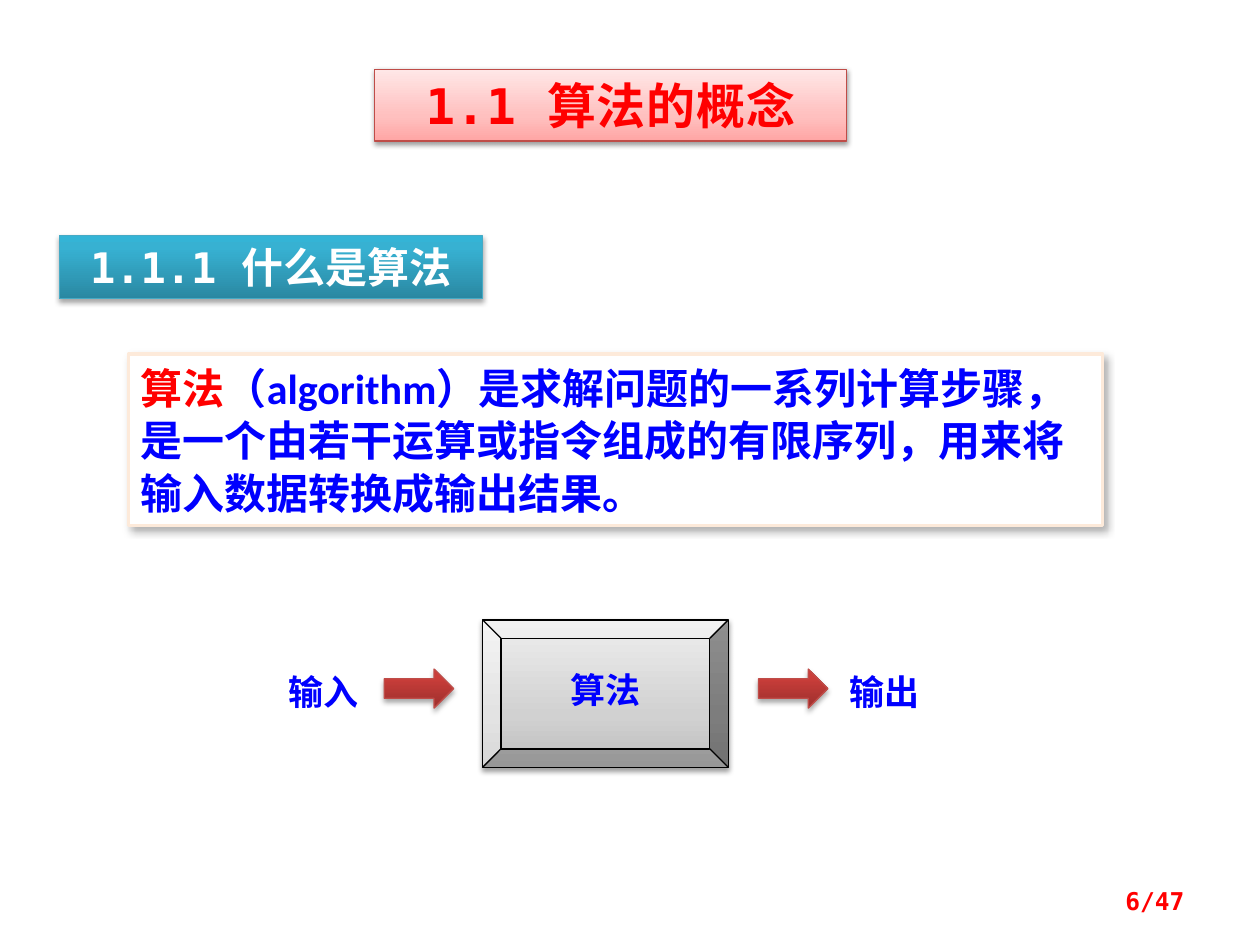
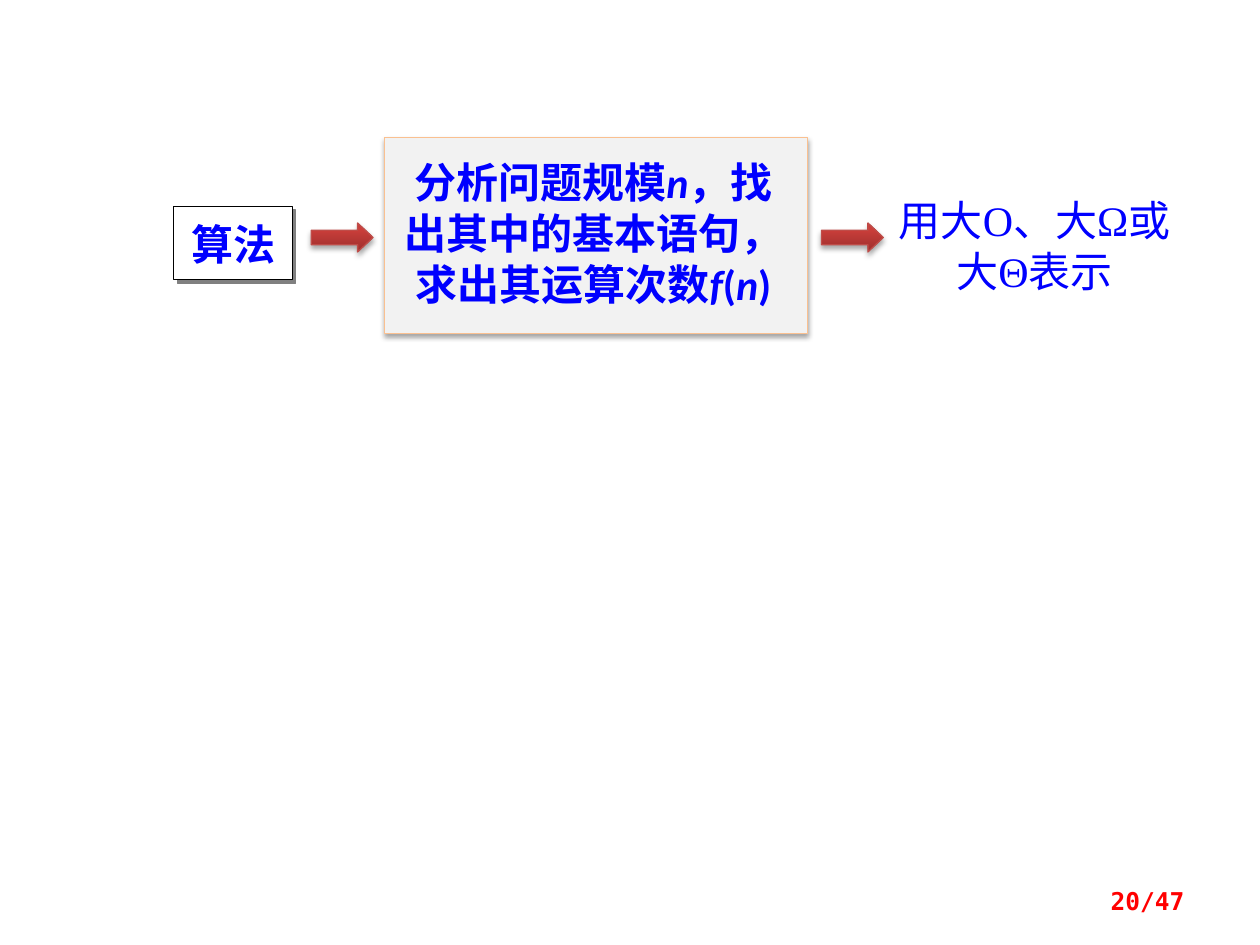
from dataclasses import dataclass
import copy
from typing import NamedTuple, Optional

import lxml.etree
import pptx
import pptx.dml.color
import pptx.enum.shapes
import pptx.enum.text
import pptx.oxml.ns
import pptx.util

Inches = pptx.util.Inches
Pt = pptx.util.Pt
qn = pptx.oxml.ns.qn
PRESET = pptx.enum.shapes.MSO_SHAPE
ALIGN = pptx.enum.text.PP_ALIGN
ANCHOR = pptx.enum.text.MSO_ANCHOR

BLUE, RED, WHITE, BLACK = "0000FF", "FF0000", "FFFFFF", "000000"
CJK, MONO, SANS, SERIF = "Noto Sans CJK SC", "DejaVu Sans Mono", "Calibri", "Times New Roman"
PAGE_TOTAL = 47


class Shadow(NamedTuple):
    color: str
    alpha: int
    blur: float
    distance: float
    angle: int


class Stop(NamedTuple):
    position: float
    color: str


class Run(NamedTuple):
    text: str
    color: Optional[str] = None
    italic: bool = False


@dataclass(frozen=True)
class Look:
    fill: str | tuple[Stop, ...]
    line: Optional[str] = None
    width: float = 0.75
    shadow: Optional[Shadow] = None


@dataclass(frozen=True)
class Style:
    size: int
    font: str = CJK
    color: str = BLUE
    bold: bool = True
    align: ALIGN = ALIGN.CENTER
    anchor: ANCHOR = ANCHOR.MIDDLE
    spacing: Optional[float | pptx.util.Pt] = None
    tracking: int = 0
    insets: tuple[float, float, float, float] = (0.1, 0.05, 0.1, 0.05)


@dataclass(frozen=True)
class Box:
    left: float
    top: float
    width: float
    height: float
    runs: tuple[Run, ...] = ()
    style: Optional[Style] = None
    look: Optional[Look] = None
    preset: PRESET = PRESET.RECTANGLE
    adjustments: tuple[float, ...] = ()


STRONG = Shadow(BLACK, 35, 3.1, 1.8, 90)
SOFT = Shadow(BLACK, 38, 3.1, 1.6, 90)

TITLE_LOOK = Look((Stop(0, "FFA6A5"), Stop(0.35, "FFC0BF"), Stop(1, "FFE7E7")), "BF4C48", shadow=SOFT)
SECTION_LOOK = Look((Stop(0, "2A88A2"), Stop(0.8, "37B1D2"), Stop(1, "34B4D6")), "46AAC5", shadow=STRONG)
ARROW_LOOK = Look((Stop(0, "9C2F2D"), Stop(0.8, "CB3E3A"), Stop(1, "CE3B37")), "BF4C48", shadow=STRONG)
BEVEL_LOOK = Look((Stop(0, "BDBDBD"), Stop(0.35, "D1D1D1"), Stop(1, "EEEEEE")), BLACK, shadow=SOFT)
DEFINITION_LOOK = Look(WHITE, "FDEADA", 2, Shadow(BLACK, 30, 4.5, 2.6, 53))
INPUT_LOOK = Look(WHITE, BLACK, shadow=Shadow("808080", 100, 0, 2.8, 45))
ANALYSIS_LOOK = Look("F2F2F2", "FAC090", shadow=STRONG)

TITLE = Style(28, MONO, RED, tracking=50)
SECTION = Style(24, MONO, WHITE)
DEFINITION = Style(24, SANS, align=ALIGN.LEFT, anchor=ANCHOR.TOP, spacing=Pt(30))
LABEL = Style(20, align=ALIGN.LEFT)
BEVEL = Style(20, spacing=0.8)
INPUT = Style(24, SERIF, insets=(0.12, 0.08, 0.12, 0.08))
ANALYSIS = Style(24, SANS, anchor=ANCHOR.TOP, spacing=Pt(29), insets=(0.12, 0.15, 0.16, 0.16))
RESULT = Style(24, SERIF, bold=False, anchor=ANCHOR.TOP, spacing=Pt(29), insets=(0, 0.06, 0, 0))
PAGE = Style(14, MONO, RED, align=ALIGN.RIGHT)


def rgb(color: str) -> pptx.dml.color.RGBColor:
    return pptx.dml.color.RGBColor.from_string(color)


def add_shadow(sp, shadow: Shadow) -> None:
    effects = sp._element.spPr.find(qn("a:effectLst"))
    outer = lxml.etree.SubElement(
        effects, qn("a:outerShdw"), blurRad=str(int(Pt(shadow.blur))), dist=str(int(Pt(shadow.distance))),
        dir=str(shadow.angle * 60000), algn="ctr", rotWithShape="0")
    color = lxml.etree.SubElement(outer, qn("a:srgbClr"), val=shadow.color)
    lxml.etree.SubElement(color, qn("a:alpha"), val=str(shadow.alpha * 1000))


def apply_look(sp, look: Look) -> None:
    sp.shadow.inherit = False
    if isinstance(look.fill, str):
        sp.fill.solid()
        sp.fill.fore_color.rgb = rgb(look.fill)
    else:
        sp.fill.gradient()
        sp.fill.gradient_angle = 90
        stops = sp._element.spPr.find(".//" + qn("a:gsLst"))
        stops.append(copy.deepcopy(stops[-1]))
        for target, stop in zip(sp.fill.gradient_stops, look.fill):
            target.position = stop.position
            target.color.rgb = rgb(stop.color)
    if look.line:
        sp.line.color.rgb = rgb(look.line)
        sp.line.width = Pt(look.width)
    else:
        sp.line.fill.background()
    if look.shadow:
        add_shadow(sp, look.shadow)


def write_text(sp, runs: tuple[Run, ...], style: Style) -> None:
    tf = sp.text_frame
    tf.word_wrap = True
    tf.vertical_anchor = style.anchor
    tf.margin_left, tf.margin_top, tf.margin_right, tf.margin_bottom = map(Inches, style.insets)
    p = tf.paragraphs[0]
    p.alignment = style.align
    if style.spacing:
        p.line_spacing = style.spacing
    p.font.name = style.font
    p.font.size = Pt(style.size)
    p.font.bold = style.bold
    p.font.color.rgb = rgb(style.color)
    defaults = p._p.pPr.find(qn("a:defRPr"))
    lxml.etree.SubElement(defaults, qn("a:ea"), typeface=CJK)
    if style.tracking:
        defaults.set("spc", str(style.tracking))
    for run in runs:
        r = p.add_run()
        r.text = run.text
        if run.color:
            r.font.color.rgb = rgb(run.color)
        if run.italic:
            r.font.italic = True


def draw(s, box: Box) -> None:
    bounds = [Inches(v) for v in (box.left, box.top, box.width, box.height)]
    if box.look:
        sp = s.shapes.add_shape(box.preset, *bounds)
        for i, value in enumerate(box.adjustments):
            sp.adjustments[i] = value
        apply_look(sp, box.look)
    else:
        sp = s.shapes.add_textbox(*bounds)
    if box.style:
        write_text(sp, box.runs, box.style)


def arrow(left: float, top: float, width: float, height: float, head: float = 0.5) -> Box:
    return Box(left, top, width, height, look=ARROW_LOOK, preset=PRESET.RIGHT_ARROW, adjustments=(0.5, head))


def add_slide(prs, page: int, boxes: list[Box]) -> None:
    s = prs.slides.add_slide(prs.slide_layouts[6])
    footer = Box(7.17, 6.95, 2.33, 0.4, (Run(f"{page}/{PAGE_TOTAL}"),), PAGE)
    for box in [*boxes, footer]:
        draw(s, box)


def main() -> None:
    prs = pptx.Presentation()
    prs.slide_width, prs.slide_height = Inches(10), Inches(7.5)

    definition = (
        Run("算法", RED),
        Run("（algorithm）是求解问题的一系列计算步骤，是一个由若干运算或指令组成的有限序列，用来将输入数据转换成输出结果。"),
    )
    add_slide(prs, 6, [
        Box(1.02, 2.81, 7.73, 1.36, definition, DEFINITION, DEFINITION_LOOK),
        Box(3.83, 4.92, 1.95, 1.17, (Run("算法"),), BEVEL, BEVEL_LOOK, PRESET.BEVEL),
        *(arrow(left, 5.31, 0.55, 0.31) for left in (3.05, 6.02)),
        *(Box(left, 5.27, 0.78, 0.44, (Run(text),), LABEL) for left, text in ((2.19, "输入"), (6.64, "输出"))),
        Box(0.47, 1.87, 3.36, 0.5, (Run("1.1.1 什么是算法"),), SECTION, SECTION_LOOK),
        Box(2.97, 0.55, 3.75, 0.57, (Run("1.1 算法的概念"),), TITLE, TITLE_LOOK),
    ])

    analysis = (
        Run("分析问题规模"),
        Run("n", italic=True),
        Run("，找出其中的基本语句，求出其运算次数"),
        Run("f", italic=True),
        Run("("),
        Run("n", italic=True),
        Run(")"),
    )
    add_slide(prs, 20, [
        Box(1.38, 1.64, 0.94, 0.58, (Run("算法"),), INPUT, INPUT_LOOK),
        *(arrow(left, 1.77, 0.49, 0.23, 0.53) for left in (2.47, 6.52)),
        Box(3.05, 1.09, 3.36, 1.56, analysis, ANALYSIS, ANALYSIS_LOOK),
        Box(7.05, 1.48, 2.32, 1.02, (Run("用大O、大Ω或大Θ表示"),), RESULT, Look(WHITE)),
    ])
    prs.save("out.pptx")


if __name__ == "__main__":
    main()
